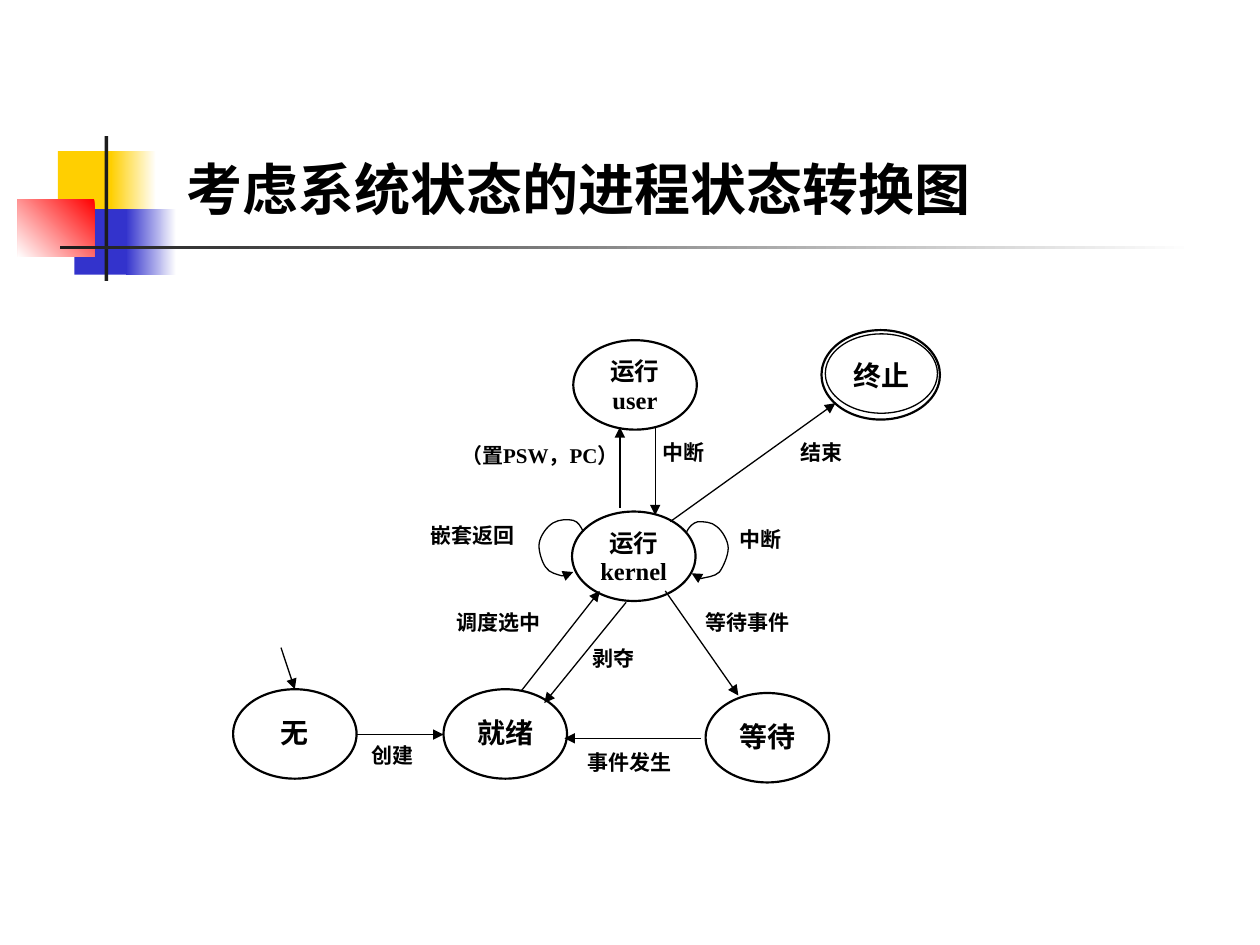
from lxml import etree
from pptx import Presentation
from pptx.dml.color import RGBColor
from pptx.enum.shapes import MSO_CONNECTOR, MSO_SHAPE
from pptx.enum.text import MSO_ANCHOR, PP_ALIGN
from pptx.oxml.ns import qn
from pptx.util import Inches, Pt

RECTANGLE, OVAL = MSO_SHAPE.RECTANGLE, MSO_SHAPE.OVAL
STRAIGHT = MSO_CONNECTOR.STRAIGHT
TOP = MSO_ANCHOR.TOP
LEFT, CENTER, JUSTIFY = PP_ALIGN.LEFT, PP_ALIGN.CENTER, PP_ALIGN.JUSTIFY

COLORS = {
    "white": "FFFFFF", "black": "000000", "yellow": "FFCF01",
    "blue": "3333CC", "red": "FF0000", "charcoal": "1C1C1C",
}
SERIF = "Times New Roman"
STATE_SIZE = (0.98, 0.71)

DECORATIONS = [
    ((0.46, 1.2, 0.48, 0.52), "yellow", None, 0),
    ((0.88, 1.2, 0.36, 0.52), "white", "yellow", 180),
    ((0.59, 1.66, 0.46, 0.52), "blue", None, 0),
    ((1, 1.66, 0.4, 0.52), "white", "blue", 180),
    ((0.14, 1.58, 0.61, 0.46), "red", "white", 225),
    ((0.83, 1.08, 0.03, 1.15), "charcoal", None, 0),
    ((0.48, 1.95, 9, 0.03), "white", "charcoal", 180),
]
LABELS = [
    ("剥夺", 4.68, 5.11, 0.5),
    ("等待事件", 5.58, 4.83, 0.8),
    ("调度选中", 3.6, 4.83, 0.78),
    ("中断", 5.24, 3.48, 0.46),
    ("事件发生", 4.64, 5.94, 0.82),
    ("中断", 5.85, 4.17, 0.5),
    ("嵌套返回", 3.4, 4.14, 0.8),
    ("创建", 2.93, 5.88, 0.48),
    ("结束", 6.33, 3.48, 0.48),
]
RUNNING_STATES = [("运行\nuser", 4.55, 2.7), ("运行\nkernel", 4.54, 4.06)]
OTHER_STATES = [("等待", 5.6, 5.5), ("就绪", 3.52, 5.47), ("无", 1.85, 5.47)]
ARROWS = [
    (4.97, 4.78, 4.32, 5.58),
    (5.2, 3.39, 5.2, 4.09),
    (4.92, 4.03, 4.92, 3.39),
    (5.28, 4.69, 5.86, 5.52),
    (4.14, 5.48, 4.76, 4.69),
    (5.56, 5.86, 4.48, 5.86),
    (2.83, 5.83, 3.52, 5.83),
    (5.32, 4.14, 6.63, 3.2),
    (2.23, 5.14, 2.34, 5.47),
]
INTERRUPT_LOOP = [
    (5.45, 4.22), (5.47, 4.18), (5.5, 4.15), (5.54, 4.14),
    (5.58, 4.14), (5.65, 4.14), (5.69, 4.18),
    (5.73, 4.21), (5.78, 4.29), (5.78, 4.35),
    (5.78, 4.41), (5.74, 4.5), (5.71, 4.54),
    (5.67, 4.58), (5.6, 4.58), (5.57, 4.59),
    (5.53, 4.59), (5.51, 4.57), (5.49, 4.55),
]
RETURN_LOOP = [
    (4.63, 4.22), (4.61, 4.18), (4.59, 4.14), (4.55, 4.13),
    (4.51, 4.12), (4.44, 4.12), (4.39, 4.15),
    (4.34, 4.18), (4.29, 4.25), (4.28, 4.31),
    (4.27, 4.36), (4.3, 4.46), (4.33, 4.5),
    (4.36, 4.55), (4.43, 4.56), (4.46, 4.57),
    (4.5, 4.57), (4.53, 4.56), (4.55, 4.54),
]


def color(name):
    """Return the named colour."""
    return RGBColor.from_string(COLORS[name])


def set_line(line, name, width=0.75):
    """Give a line its colour and its width in points."""
    line.color.rgb = color(name)
    line.width = Pt(width)


def add_arrowhead(shape):
    """Put a triangle at the end of an outline."""
    etree.SubElement(shape.line._get_or_add_ln(), qn("a:tailEnd"), type="triangle")


def write(shape, text, size=12, font=SERIF, align=LEFT, insets=(0.02, 0.01, 0.02, 0.01), spacing=None):
    """Write bold black text in a shape, one paragraph a line."""
    frame = shape.text_frame
    frame.word_wrap = True
    frame.vertical_anchor = TOP
    frame.margin_left, frame.margin_top, frame.margin_right, frame.margin_bottom = map(Inches, insets)
    for index, words in enumerate(text.split("\n")):
        para = frame.add_paragraph() if index else frame.paragraphs[0]
        para.alignment = align
        para.line_spacing = spacing
        span = para.add_run()
        span.text = words
        span.font.name = font
        span.font.size = Pt(size)
        span.font.bold = True
        span.font.color.rgb = color("black")


def add_block(page, kind, place, fill=None, line=None, width=0.75):
    """Add a preset shape with a plain fill and outline, or without them."""
    shape = page.shapes.add_shape(kind, *map(Inches, place))
    shape.shadow.inherit = False
    if fill:
        shape.fill.solid()
        shape.fill.fore_color.rgb = color(fill)
    else:
        shape.fill.background()
    if line:
        set_line(shape.line, line, width)
    else:
        shape.line.fill.background()
    return shape


def add_decoration(page, place, start, end, angle):
    """Add a plain block, or one that fades from start to end."""
    block = add_block(page, RECTANGLE, place, start)
    if end:
        block.fill.gradient()
        block.fill.gradient_angle = angle
        for stop, name in zip(block.fill.gradient_stops, (start, end)):
            stop.color.rgb = color(name)


def add_label(page, text, left, top, width, height=0.33, **style):
    """Add the white label of a transition."""
    box = add_block(page, RECTANGLE, (left, top, width, height), "white", "white")
    write(box, text, align=JUSTIFY, **style)


def add_state(page, text, left, top, size=STATE_SIZE, width=1.25, font_size=16, insets=(0.04, 0.12, 0.04, 0.08)):
    """Add the ellipse of a process state."""
    state = add_block(page, OVAL, (left, top, *size), "white", "black", width)
    write(state, text, size=font_size, align=CENTER, insets=insets, spacing=0.96)


def add_arrow(page, ends):
    """Add a straight transition arrow."""
    arrow = page.shapes.add_connector(STRAIGHT, *map(Inches, ends))
    set_line(arrow.line, "black")
    add_arrowhead(arrow)
    etree.SubElement(arrow._element.spPr, qn("a:effectLst"))


def add_loop(page, points):
    """Add a curved arrow through a start point and triples of Bezier points."""
    corners = [(Inches(x), Inches(y)) for x, y in points]
    builder = page.shapes.build_freeform(*corners[0])
    builder.add_line_segments(corners[1:], close=False)
    loop = builder.convert_to_shape()
    loop.shadow.inherit = False
    loop.fill.background()
    set_line(loop.line, "black")
    add_arrowhead(loop)
    outline = loop._element.find(".//" + qn("a:path"))
    segments = outline.findall(qn("a:lnTo"))
    for first in range(0, len(segments), 3):
        curve = etree.SubElement(outline, qn("a:cubicBezTo"))
        for segment in segments[first:first + 3]:
            curve.append(segment[0])
            outline.remove(segment)


def add_title(page, text):
    """Add the slide title."""
    box = page.shapes.add_textbox(*map(Inches, (1.38, 1.18, 6.61, 0.64)))
    write(box, text, size=32, font="Roboto", insets=(0.1, 0.05, 0.1, 0.05))


def main():
    """Build the process state diagram and save it."""
    deck = Presentation()
    deck.slide_width, deck.slide_height = Inches(10), Inches(7.5)
    page = deck.slides.add_slide(deck.slide_layouts[6])
    for decoration in DECORATIONS:
        add_decoration(page, *decoration)
    add_label(page, "（置PSW，PC）", 3.66, 3.51, 1.26, 0.4, insets=(0, 0, 0, 0))
    for label in LABELS:
        add_label(page, *label)
    for state in RUNNING_STATES:
        add_state(page, *state, font_size=14, insets=(0.04,) * 4)
    for state in OTHER_STATES:
        add_state(page, *state)
    add_state(page, "终止", 6.55, 2.65, size=(0.89, 0.63), width=0.75)
    add_block(page, OVAL, (6.52, 2.62, 0.94, 0.71), line="black", width=1.25)
    for ends in ARROWS:
        add_arrow(page, ends)
    for points in (INTERRUPT_LOOP, RETURN_LOOP):
        add_loop(page, points)
    add_title(page, "考虑系统状态的进程状态转换图")
    deck.save("out.pptx")


if __name__ == "__main__":
    main()
